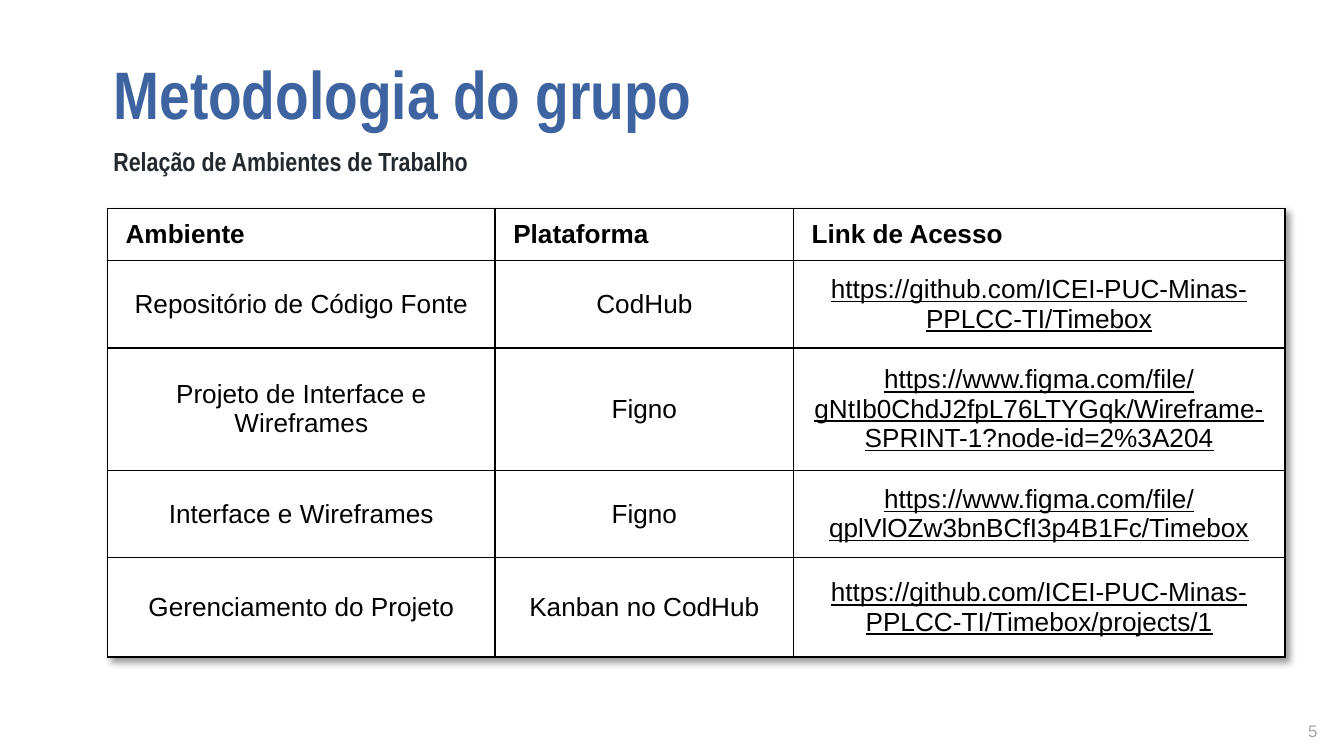
from dataclasses import dataclass

from lxml import etree
from pptx import Presentation
from pptx.dml.color import RGBColor
from pptx.enum.text import MSO_ANCHOR, MSO_AUTO_SIZE, PP_ALIGN
from pptx.oxml import parse_xml
from pptx.oxml.ns import nsdecls, qn
from pptx.util import Pt

PX = 4572  # EMU per px, 200 px to the inch
TITLE_ONLY = 5
LEFT, CENTER = PP_ALIGN.LEFT, PP_ALIGN.CENTER
MIDDLE = MSO_ANCHOR.MIDDLE
FIT_SHAPE, NO_FIT = MSO_AUTO_SIZE.SHAPE_TO_FIT_TEXT, MSO_AUTO_SIZE.NONE


@dataclass(frozen=True)
class Theme:
    heading: str = "Arial Narrow"
    body: str = "Arial"
    title_pt: int = 36
    text_pt: int = 14
    number_pt: int = 9
    blue: str = "3D63A1"
    dark: str = "24292F"
    black: str = "000000"
    white: str = "FFFFFF"
    gray: str = "A6A6A6"


T = Theme()

COLS = [577, 444, 731]
ROWS = [78, 130, 182, 130, 148]
ENVIRONMENTS = [
    ("Ambiente", "Plataforma", "Link de Acesso"),
    ("Repositório de Código Fonte", "CodHub",
     "https://github.com/ICEI-PUC-Minas-PPLCC-TI/Timebox"),
    ("Projeto de Interface e Wireframes", "Figno",
     "https://www.figma.com/file/gNtIb0ChdJ2fpL76LTYGqk/Wireframe-SPRINT-1?node-id=2%3A204"),
    ("Interface e Wireframes", "Figno",
     "https://www.figma.com/file/qplVlOZw3bnBCfI3p4B1Fc/Timebox"),
    ("Gerenciamento do Projeto", "Kanban no CodHub",
     "https://github.com/ICEI-PUC-Minas-PPLCC-TI/Timebox/projects/1"),
]


def emu(*lengths):
    return [n * PX for n in lengths]


def write(tf, text, font, size, color, bold=False, align=LEFT, underline=False):
    p = tf.paragraphs[0]
    p.text = text
    p.alignment = align
    f = p.font
    f.name, f.size, f.bold, f.underline = font, Pt(size), bold, underline
    f.color.rgb = RGBColor.from_string(color)


def set_insets(target, x, y):
    target.margin_left = target.margin_right = x * PX
    target.margin_top = target.margin_bottom = y * PX


def add_label(s, box, text, font, size, color, bold=False, wrap=True):
    tf = s.shapes.add_textbox(*emu(*box)).text_frame
    tf.word_wrap = wrap
    tf.auto_size = FIT_SHAPE
    write(tf, text, font, size, color, bold)


def add_heading(s, box):
    x, y, w, h = box
    title = s.shapes.title
    title.left, title.top, title.width, title.height = emu(x, y, w, 82)
    tf = title.text_frame
    tf.auto_size = NO_FIT
    tf.vertical_anchor = MIDDLE
    set_insets(tf, 20, 20)
    write(tf, "Metodologia do grupo", T.heading, T.title_pt, T.blue, True)
    add_label(s, (x, y + 109, 1000, h - 109), "Relação de Ambientes de Trabalho",
              T.heading, T.text_pt, T.dark, True)


def set_borders(cell):
    tc_pr = cell._tc.get_or_add_tcPr()
    for side in ("lnL", "lnR", "lnT", "lnB"):
        ln = etree.SubElement(tc_pr, qn(f"a:{side}"), w=str(Pt(1)))
        fill = etree.SubElement(ln, qn("a:solidFill"))
        etree.SubElement(fill, qn("a:srgbClr"), val=T.black)


def add_shadow(table):
    table._tbl.tblPr.insert(0, parse_xml(
        f'<a:effectLst {nsdecls("a")}>'
        f'<a:outerShdw blurRad="{10 * PX}" dist="{9 * PX}" dir="2700000" '
        'algn="tl" rotWithShape="0">'
        f'<a:srgbClr val="{T.black}"><a:alpha val="40000"/></a:srgbClr>'
        '</a:outerShdw></a:effectLst>'))


def add_environments(s, box):
    table = s.shapes.add_table(len(ROWS), len(COLS), *emu(*box)).table
    table.first_row = table.horz_banding = False
    add_shadow(table)
    for column, width in zip(table.columns, COLS):
        column.width = width * PX
    for row, height in zip(table.rows, ROWS):
        row.height = height * PX
    for i, texts in enumerate(ENVIRONMENTS):
        header = i == 0
        for j, text in enumerate(texts):
            cell = table.cell(i, j)
            set_borders(cell)
            cell.fill.solid()
            cell.fill.fore_color.rgb = RGBColor.from_string(T.white)
            cell.vertical_anchor = MIDDLE
            set_insets(cell, 27, 12)
            write(cell.text_frame, text, T.body, T.text_pt, T.black, header,
                  LEFT if header else CENTER, text.startswith("https:"))


def main():
    prs = Presentation()
    prs.slide_width, prs.slide_height = emu(2000, 1125)
    s = prs.slides.add_slide(prs.slide_layouts[TITLE_ONLY])
    # Title and subtitle
    add_heading(s, (149, 97, 1800, 177))
    # Table of work environments
    add_environments(s, (160, 310, sum(COLS), sum(ROWS)))
    # Page number
    add_label(s, (1927, 1062, 54, 50), "5", T.body, T.number_pt, T.gray, wrap=False)
    prs.save("out.pptx")


if __name__ == "__main__":
    main()
